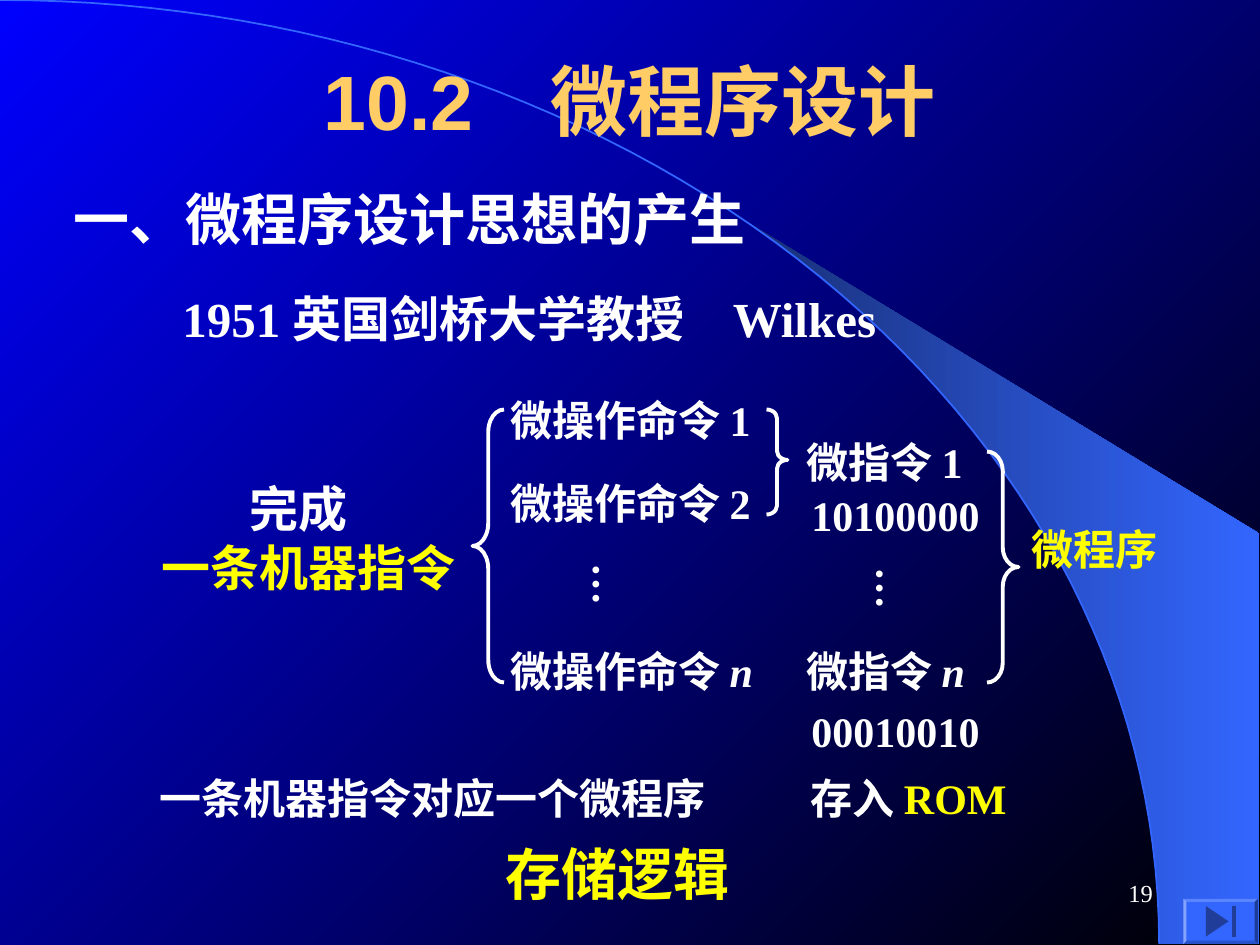
from math import cos, sin, asin, pi

from pptx import Presentation
from pptx.dml.color import RGBColor as RGB
from pptx.enum.shapes import MSO_SHAPE as SHAPE
from pptx.enum.text import MSO_ANCHOR as ANCHOR, MSO_AUTO_SIZE as AUTO, PP_ALIGN as ALIGN
from pptx.util import Inches, Pt

THEME = {
    "white": "FFFFFF", "yellow": "FFFF00", "gold": "FFCC66",
    "blue": "3366FF", "navy": "182F76", "sky": "0000FF", "night": "000000",
    "mark": "1F3D99",
    "head": 44, "big": 32, "mid": 28, "body": 24, "small": 14,
    "font": "Times New Roman", "title": "Arial",
}

# The slide is a grid of 120 columns by 90 rows; boxes are (left, top, width, height).
WIDE, HIGH, COLS = 10, 7.5, 120
CELL = WIDE / COLS

# Each text: box, size, paragraphs of (words, colour, italic) runs, options
OPS, CODES = 47.4, 75.6
TEXTS = [
    ((9, 2, 102, 15), "head", [[("10.2　微程序设计", "gold")]],
     {"font": "title", "align": ALIGN.CENTER, "anchor": ANCHOR.MIDDLE, "wrap": True}),
    ((5.8, 17, 80.2, 7.7), "big", [[("一、微程序设计思想的产生", "white")]], {"wrap": True}),
    ((16.2, 26.9, 72, 6.8), "mid", [[("1951 英国剑桥大学教授　Wilkes", "white")]],
     {"wrap": True}),
    ((14.2, 45, 30.4, 12.5), "mid",
     [[("完成", "white")], [("一条机器指令", "yellow")]], {"indent": 8.4}),
    ((OPS, 37, 26.3, 6), "body", [[("微操作命令 1", "white")]], {}),
    ((OPS, 44.9, 26.3, 6), "body", [[("微操作命令 2", "white")]], {}),
    ((OPS, 60.9, 26.5, 6), "body", [[("微操作命令 ", "white"), ("n", "white", True)]], {}),
    ((53.9, 52.5, 7.2, 5.3), "body", [[("…", "white")]], {"vert": True}),
    ((CODES, 41, 19, 6), "body", [[("微指令 1", "white")]], {"wrap": True}),
    ((76.1, 46, 18.4, 6), "body", [[("10100000", "white")]], {}),
    ((80.9, 52.9, 7.2, 5.3), "body", [[("…", "white")]], {"vert": True}),
    ((CODES, 60.9, 19, 6), "body", [[("微指令 ", "white"), ("n", "white", True)]],
     {"wrap": True}),
    ((76.1, 66.6, 18.4, 6), "body", [[("00010010", "white")]], {}),
    ((97.1, 49.3, 14.4, 6), "body", [[("微程序", "yellow")]], {}),
    ((14, 73, 54.4, 6), "body", [[("一条机器指令对应一个微程序", "white")]], {}),
    ((76, 73, 24, 6), "body", [[("存入 ", "white"), ("ROM", "yellow")]], {"wrap": True}),
    ((47, 79.4, 42.2, 7.7), "big", [[("存储逻辑", "yellow")]], {"wrap": True}),
    ((86, 82, 25, 6), "small", [[("19", "white")]],
     {"align": ALIGN.RIGHT, "anchor": ANCHOR.MIDDLE, "wrap": True, "bold": False}),
]

# Each brace: shape, box, curl, place of the tip
BRACES = [
    (SHAPE.LEFT_BRACE, (45, 39, 3, 26), 0.72, 0.5),
    (SHAPE.RIGHT_BRACE, (73, 39, 2, 10), 0.42, 0.48),
    (SHAPE.RIGHT_BRACE, (94, 43, 3, 22), 0.62, 0.5),
]

# The button is a bevel with a triangle and a bar on it.
BUTTON = (112.7, 85.6, 7.1, 4.3)
MARKS = [
    [(114.85, 86.3), (117, 87.75), (114.85, 89.2)],
    [(117.35, 86.3), (117.7, 86.3), (117.7, 89.2), (117.35, 89.2)],
]

# The arc is a quarter ellipse about the lower left corner, in grid cells.
ARC_W, ARC_H, STEPS = 110.4, 89.9, 60
BEAM = 70.7  # column where the beam leaves the arc
EDGE = [(119.9, 89.9), (119.9, 50.8)]


def color(name):
    return RGB.from_string(THEME[name])


def place(nums):
    return [Inches(n * CELL) for n in nums]


def arc(start):
    """Points along the ellipse from an angle, measured from the top, to its right end."""
    turns = [start + (pi / 2 - start) * i / STEPS for i in range(STEPS + 1)]
    return [(ARC_W * sin(t), ARC_H * (1 - cos(t))) for t in turns]


def outline(slide, points, close):
    first, *rest = [place(p) for p in points]
    pen = slide.shapes.build_freeform(*first)
    pen.add_line_segments(rest, close=close)
    shape = pen.convert_to_shape()
    shape.shadow.inherit = False
    return shape


def blend(fill, first, last, angle):
    fill.gradient()
    fill.gradient_angle = angle
    for stop, name in zip(fill.gradient_stops, (first, last)):
        stop.color.rgb = color(name)


def paint(shape, name):
    shape.fill.solid()
    shape.fill.fore_color.rgb = color(name)
    shape.line.fill.background()


def stroke(shape, name, width):
    shape.fill.background()
    shape.line.color.rgb = color(name)
    shape.line.width = Pt(width)


def preset(slide, kind, box, *curves):
    shape = slide.shapes.add_shape(kind, *place(box))
    shape.shadow.inherit = False
    for i, curve in enumerate(curves):
        shape.adjustments[i] = curve
    return shape


def write(slide, box, size, paras, opts):
    frame = slide.shapes.add_textbox(*place(box)).text_frame
    anchor = opts.get("anchor", ANCHOR.TOP)
    grow = AUTO.NONE if anchor == ANCHOR.MIDDLE else AUTO.SHAPE_TO_FIT_TEXT
    for key, value in {"word_wrap": opts.get("wrap", False), "auto_size": grow,
                       "vertical_anchor": anchor}.items():
        setattr(frame, key, value)
    if opts.get("vert"):
        frame._txBody.bodyPr.set("vert", "eaVert")
        frame.margin_left = frame.margin_right = Inches(0.05)
        frame.margin_top = frame.margin_bottom = Inches(0.1)
    for i, runs in enumerate(paras):
        para = frame.add_paragraph() if i else frame.paragraphs[0]
        para.alignment = opts.get("align", ALIGN.LEFT)
        if i == 0 and "indent" in opts:
            para._p.get_or_add_pPr().set("marL", str(Inches(opts["indent"] * CELL)))
        for words, tint, *slant in runs:
            run = para.add_run()
            run.text = words
            style = {"name": THEME[opts.get("font", "font")], "size": Pt(THEME[size]),
                     "bold": opts.get("bold", True), "italic": bool(slant)}
            for key, value in style.items():
                setattr(run.font, key, value)
            run.font.color.rgb = color(tint)


def main():
    deck = Presentation()
    deck.slide_width, deck.slide_height = Inches(WIDE), Inches(HIGH)
    slide = deck.slides.add_slide(deck.slide_layouts[6])
    blend(slide.background.fill, "sky", "night", 315)

    beam = outline(slide, arc(asin(BEAM / ARC_W)) + EDGE, True)
    blend(beam.fill, "navy", "blue", 0)
    beam.line.fill.background()
    stroke(outline(slide, arc(0), False), "blue", 1)

    for brace in BRACES:
        stroke(preset(slide, *brace), "white", 2.25)

    for text in TEXTS:
        write(slide, *text)

    paint(preset(slide, SHAPE.BEVEL, BUTTON, 0.07), "blue")
    for mark in MARKS:
        paint(outline(slide, mark, True), "mark")

    deck.save("out.pptx")


if __name__ == "__main__":
    main()
